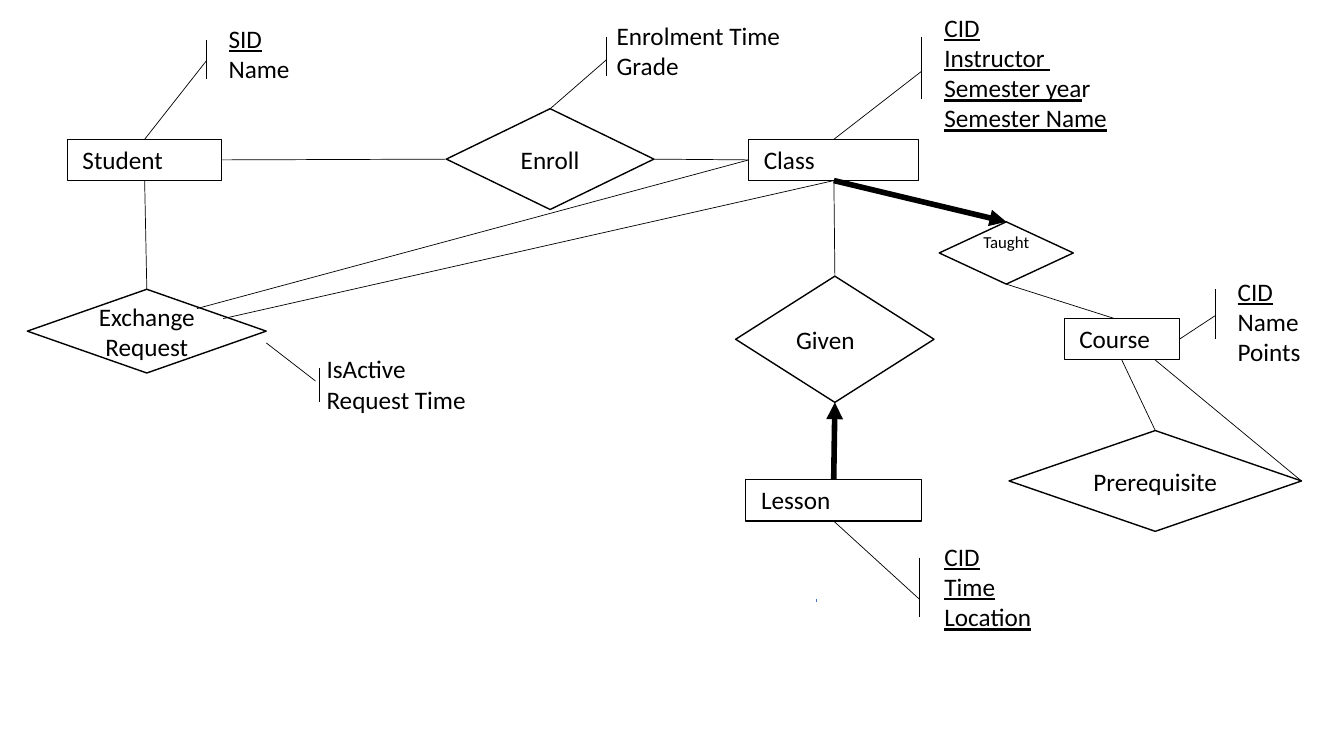
from pptx import Presentation
from pptx.dml.color import RGBColor
from pptx.enum.shapes import MSO_CONNECTOR, MSO_SHAPE
from pptx.enum.text import MSO_ANCHOR, PP_ALIGN
from pptx.oxml.ns import qn
from pptx.util import Cm, Pt
from lxml.etree import SubElement

BLACK, WHITE, BLUE = "000000", "FFFFFF", "4472C4"
TOP, LEFT, BOTTOM, RIGHT = (0.5, 0), (0, 0.5), (0.5, 1), (1, 0.5)
ENTITY_HEIGHT = 1.04


def color(value):
    """Turn a hex string into a colour."""
    return RGBColor.from_string(value)


def add_text(paragraph, text, size=18, underlined=False):
    """Append one run to a paragraph."""
    run = paragraph.add_run()
    run.text = text
    run.font.name = "Calibri"
    run.font.size = Pt(size)
    run.font.color.rgb = color(BLACK)
    run.font.underline = underlined


def anchor(box, site):
    """Return the point at the given fractions of a box's width and height."""
    left, top, width, height = box
    return left + width * site[0], top + height * site[1]


def add_line(slide, start, end, width=0.5, stroke=BLACK, arrow=False):
    """Draw a straight connector between two points in centimetres."""
    points = [Cm(value) for value in (*start, *end)]
    connector = slide.shapes.add_connector(MSO_CONNECTOR.STRAIGHT, *points)
    connector.line.width = Pt(width)
    connector.line.color.rgb = color(stroke)
    if arrow:
        SubElement(connector.line._get_or_add_ln(), qn("a:tailEnd"), type="triangle")
    SubElement(connector._element.spPr, qn("a:effectLst"))


def add_outline(slide, preset, box, line_width):
    """Draw an outlined preset shape and return it."""
    shape = slide.shapes.add_shape(preset, *[Cm(value) for value in box])
    shape.shadow.inherit = False
    shape.line.color.rgb = color(BLACK)
    shape.line.width = Pt(line_width)
    return shape


def add_entity(slide, name, box):
    """Draw an entity rectangle with its name at the left."""
    shape = add_outline(slide, MSO_SHAPE.RECTANGLE, box, 0.75)
    shape.fill.background()
    frame = shape.text_frame
    frame.vertical_anchor = MSO_ANCHOR.TOP
    frame.margin_left = Cm(0.38)
    paragraph = frame.paragraphs[0]
    paragraph.alignment = PP_ALIGN.LEFT
    add_text(paragraph, name)


def add_relationship(slide, name, box, size=18, right_margin=0, bottom_margin=0):
    """Draw a relationship diamond; the margins shift its name."""
    shape = add_outline(slide, MSO_SHAPE.DIAMOND, box, 1)
    shape.fill.solid()
    shape.fill.fore_color.rgb = color(WHITE)
    frame = shape.text_frame
    frame.word_wrap = True
    frame.vertical_anchor = MSO_ANCHOR.MIDDLE
    frame.margin_left = frame.margin_top = 0
    frame.margin_right = Cm(right_margin)
    frame.margin_bottom = Cm(bottom_margin)
    paragraph = frame.paragraphs[0]
    paragraph.alignment = PP_ALIGN.CENTER
    add_text(paragraph, name, size)


def add_attributes(slide, owner_point, box, bracket, rows, gap=0):
    """List attributes in a box, with a bracket line joined to their owner.

    The bracket is (x, top, bottom, joint), relative to the box's corner.
    """
    left, top = box[:2]
    bracket_x, bracket_top, bracket_bottom, joint = bracket
    x = left + bracket_x
    add_line(slide, owner_point, (x - gap, top + joint))
    add_line(slide, (x, top + bracket_top), (x, top + bracket_bottom))
    frame = slide.shapes.add_textbox(*[Cm(value) for value in box]).text_frame
    frame.word_wrap = True
    for index, row in enumerate(rows):
        paragraph = frame.add_paragraph() if index else frame.paragraphs[0]
        for text, underlined in row:
            add_text(paragraph, text, underlined=underlined)


def key(text):
    """Make a row with an underlined key attribute."""
    return [(text, True)]


def plain(text):
    """Make a row with an ordinary attribute."""
    return [(text, False)]


def build_diagram(slide):
    """Place the entities, relationships, links and attributes."""
    student = (1.7, 3.51, 3.89, ENTITY_HEIGHT)
    class_box = (18.87, 3.51, 4.29, ENTITY_HEIGHT)
    lesson = (18.8, 12.09, 4.42, ENTITY_HEIGHT)
    course = (26.82, 8.03, 2.9, ENTITY_HEIGHT)
    enroll = (11.25, 2.74, 5.23, 2.54)
    exchange = (0.69, 7.29, 6.02, 2.11)
    given = (18.54, 6.96, 5, 3.18)
    taught = (23.67, 5.59, 3.38, 1.57)
    prerequisite = (25.43, 10.85, 7.37, 2.54)

    for name, box in (("Student", student), ("Class", class_box),
                      ("Lesson", lesson), ("Course", course)):
        add_entity(slide, name, box)
    add_relationship(slide, "Enroll", enroll)
    add_relationship(slide, "Exchange Request", exchange)
    add_relationship(slide, "Given", given, right_margin=0.48)
    add_relationship(slide, "Taught", taught, size=12, bottom_margin=0.56)
    add_relationship(slide, "Prerequisite", prerequisite)

    links = [
        (student, RIGHT, enroll, LEFT),
        (student, BOTTOM, exchange, TOP),
        (class_box, LEFT, enroll, RIGHT),
        (class_box, BOTTOM, given, TOP),
        (class_box, LEFT, exchange, (0.71, 0.23)),
        (class_box, BOTTOM, exchange, (0.82, 0.35)),
        (course, (0.44, 0), taught, BOTTOM),
        (course, BOTTOM, prerequisite, TOP),
        (course, (0.79, 1), prerequisite, RIGHT),
    ]
    for source, source_site, target, target_site in links:
        add_line(slide, anchor(source, source_site), anchor(target, target_site))
    for source, source_site, target, target_site in (
            (lesson, TOP, given, BOTTOM), (class_box, BOTTOM, taught, TOP)):
        add_line(slide, anchor(source, source_site), anchor(target, target_site),
                 width=4, arrow=True)
    add_line(slide, (20.57, 15.09), (20.57, 15.16), stroke=BLUE)

    add_attributes(slide, anchor(student, TOP), (5.51, 0.46, 2.13, 1.8),
                   (-0.3, 0.56, 1.52, 1.06), [key("SID"), plain("Name")])
    add_attributes(slide, anchor(exchange, (1, 0.64)), (7.98, 8.79, 7.65, 2.57),
                   (0.07, 0.48, 1.34, 0.81),
                   [plain("IsActive"), plain("Request Time")], gap=0.1)
    add_attributes(slide, anchor(enroll, TOP), (15.29, 0.38, 5.31, 1.8),
                   (0, 0.56, 1.53, 1.12), [plain("Enrolment Time"), plain("Grade")])
    add_attributes(slide, anchor(class_box, TOP), (23.55, 0.18, 6.15, 3.33),
                   (-0.33, 0.76, 2.31, 1.62),
                   [key("CID"), key("Instructor "),
                    key("Semester yea") + plain("r"), key("Semester Name")])
    add_attributes(slide, anchor(lesson, BOTTOM), (23.55, 13.51, 3.38, 2.57),
                   (-0.39, 0.54, 2.03, 1.58),
                   [key("CID"), key("Time"), key("Location")])
    add_attributes(slide, anchor(course, RIGHT), (30.94, 6.83, 2.29, 2.57),
                   (-0.31, 0.46, 1.7, 1.12),
                   [key("CID"), plain("Name"), plain("Points")])


presentation = Presentation()
presentation.slide_width = Cm(33.87)
presentation.slide_height = Cm(19.05)
build_diagram(presentation.slides.add_slide(presentation.slide_layouts[6]))
presentation.save("out.pptx")
